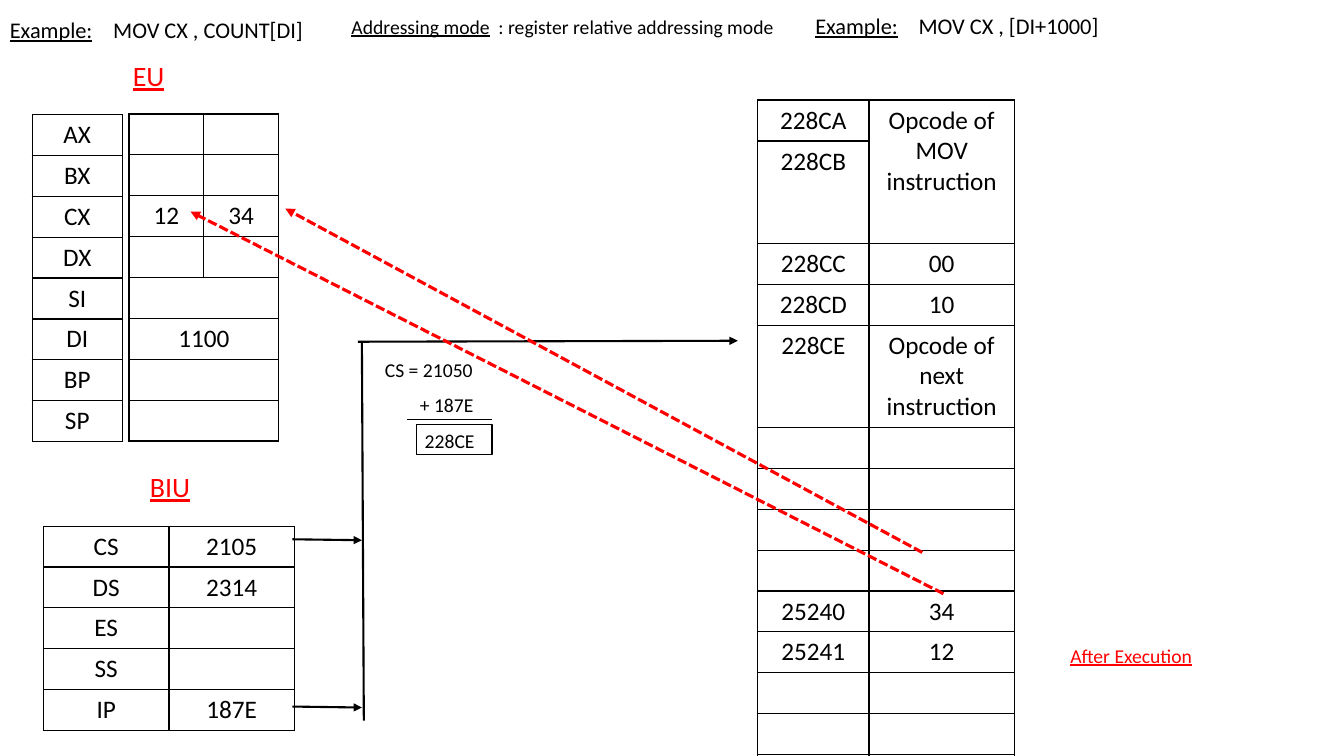
from dataclasses import dataclass, field
from typing import Any, Optional

import pptx
import pptx.dml.color
import pptx.enum.shapes
import pptx.enum.text
import pptx.oxml
import pptx.oxml.ns
import pptx.util

Pt = pptx.util.Pt
BLACK, RED = "000000", "FF0000"
ROW_HEIGHT = 29.2


@dataclass
class Span:
    text: str
    underline: bool = False


@dataclass
class Line:
    spans: list[Span]
    indent: float = 0
    tab: float = 0


@dataclass
class Label:
    left: float
    top: float
    width: float
    height: float
    size: float
    lines: list[Line]
    color: str = BLACK
    spacing: float = 0.9


@dataclass
class Grid:
    left: float
    top: float
    columns: list[float]
    rows: list[list[str]]
    merges: list[tuple[int, int, int, int]] = field(default_factory=list)


@dataclass
class Stroke:
    start: tuple[float, float]
    end: tuple[float, float]
    width: float = 1.5
    color: str = BLACK
    arrow: bool = True
    dash: Optional[str] = None


def rgb(code: str) -> pptx.dml.color.RGBColor:
    return pptx.dml.color.RGBColor.from_string(code)


def apply(target: Any, values: dict[str, Any]) -> None:
    for name, value in values.items():
        setattr(target, name, value)


def add_xml(parent: Any, body: str) -> None:
    namespace = pptx.oxml.ns.nsdecls("a")
    parent.append(pptx.oxml.parse_xml(f"<a:wrap {namespace}>{body}</a:wrap>")[0])


def style_font(font: Any, size: float, color: str, underline: bool = False) -> None:
    apply(font, {"name": "Calibri", "size": Pt(size), "underline": underline, "bold": False})
    font.color.rgb = rgb(color)


def draw_label(page: Any, label: Label) -> None:
    box = page.shapes.add_textbox(*map(Pt, (label.left, label.top, label.width, label.height)))
    box.text_frame.word_wrap = True
    for index, line in enumerate(label.lines):
        para = box.text_frame.paragraphs[0] if index == 0 else box.text_frame.add_paragraph()
        apply(para, {"line_spacing": label.spacing, "space_before": Pt(10 if index else 0)})
        properties = para._p.get_or_add_pPr()
        if line.indent:
            properties.set("marL", str(Pt(line.indent)))
        if line.tab:
            add_xml(properties, f'<a:tabLst><a:tab pos="{Pt(line.tab)}" algn="l"/></a:tabLst>')
        for span in line.spans:
            run = para.add_run()
            run.text = span.text
            style_font(run.font, label.size, label.color, span.underline)


def draw_grid(page: Any, grid: Grid) -> None:
    count = len(grid.rows)
    frame = page.shapes.add_table(count, len(grid.columns), Pt(grid.left), Pt(grid.top),
                                  Pt(sum(grid.columns)), Pt(ROW_HEIGHT * count))
    table = frame.table
    apply(table, {"first_row": False, "horz_banding": False})
    for column, width in zip(table.columns, grid.columns):
        column.width = Pt(width)
    for row, texts in zip(table.rows, grid.rows):
        row.height = Pt(ROW_HEIGHT)
        for cell, text in zip(row.cells, texts):
            for side in ("lnL", "lnR", "lnT", "lnB"):
                add_xml(cell._tc.get_or_add_tcPr(),
                        f'<a:{side} w="{Pt(1)}"><a:solidFill><a:srgbClr val="{BLACK}"/>'
                        f'</a:solidFill></a:{side}>')
            cell.fill.background()
            if text:
                para = cell.text_frame.paragraphs[0]
                para.alignment = pptx.enum.text.PP_ALIGN.CENTER
                run = para.add_run()
                run.text = text
                style_font(run.font, 18, BLACK)
    for top, left, bottom, right in grid.merges:
        table.cell(top, left).merge(table.cell(bottom, right))


def draw_stroke(page: Any, stroke: Stroke) -> None:
    connector = page.shapes.add_connector(pptx.enum.shapes.MSO_CONNECTOR.STRAIGHT,
                                          *map(Pt, stroke.start + stroke.end))
    connector.line.width = Pt(stroke.width)
    connector.line.color.rgb = rgb(stroke.color)
    properties = connector.element.spPr
    outline = properties.find(pptx.oxml.ns.qn("a:ln"))
    if stroke.dash:
        add_xml(outline, f'<a:prstDash val="{stroke.dash}"/>')
    if stroke.arrow:
        add_xml(outline, '<a:tailEnd type="triangle"/>')
    add_xml(properties, "<a:effectLst/>")


def heading(title: str, rest: str, tab: float) -> list[Line]:
    return [Line([Span(title, True), Span("\t" + rest)], tab=tab)]


def title(text: str) -> list[Line]:
    return [Line([Span(text, True)])]


LABELS = [
    Label(0, 10, 283.7, 31, 16, heading("Example:", "MOV CX , COUNT[DI]", 73.8)),
    Label(244, 11.5, 348.5, 30.2, 14,
          heading("Addressing mode", ": register relative addressing mode", 105), spacing=0.7),
    Label(575.3, 7.2, 283.7, 31, 16, heading("Example:", "MOV CX , [DI+1000]", 73.8)),
    Label(87.8, 41, 40.3, 30.2, 20, title("EU"), RED),
    Label(100, 334.8, 47.5, 29.5, 20, title("BIU"), RED),
    Label(757.4, 458, 188.6, 43.2, 14, title("After Execution"), RED),
    Label(267.8, 254.2, 97.2, 89.3, 14, [
        Line([Span("CS = 21050")]),
        Line([Span("+ 187E")], indent=25),
        Line([Span("228CE")], indent=28.5),
    ]),
]

REGISTERS = ["AX", "BX", "CX", "DX", "SI", "DI", "BP", "SP"]
BLANK = ["", ""]
GRIDS = [
    # Execution unit: values, then register names
    Grid(92.2, 81.4, [53.4, 53.4],
         [BLANK, BLANK, ["12", "34"], BLANK, BLANK, ["1100", ""], BLANK, BLANK],
         [(row, 0, row, 1) for row in range(4, 8)]),
    Grid(23, 81.8, [64.4], [[name] for name in REGISTERS]),
    # Bus interface unit
    Grid(31, 375.8, [89.7, 89.7],
         [["CS", "2105"], ["DS", "2314"], ["ES", ""], ["SS", ""], ["IP", "187E"]]),
    # Memory
    Grid(541.2, 71.5, [79.6, 103.7],
         [["228CA", "Opcode of MOV instruction"], ["228CB", ""], ["228CC", "00"],
          ["228CD", "10"], ["228CE", "Opcode of next instruction"], *[BLANK] * 4,
          ["25240", "34"], ["25241", "12"], *[BLANK] * 4],
         [(0, 1, 1, 1)]),
]

STROKES = [
    # Address path from CS and IP to memory
    Stroke((208.8, 504.7), (258.5, 505.4)),
    Stroke((208.8, 385.2), (258.5, 385.9)),
    Stroke((255.6, 244.1), (527, 243.4)),
    Stroke((258.5, 244.1), (259.9, 514.8), arrow=False),
    # Memory bytes loaded into CX
    Stroke((658.8, 394.6), (203.8, 149), 2.25, RED, dash="sysDash"),
    Stroke((673.9, 424.1), (136.1, 151.2), 2.25, RED, dash="sysDash"),
    # Sum line
    Stroke((290.9, 299.5), (351.4, 299.5), 0.5, arrow=False),
]


def main() -> None:
    deck = pptx.Presentation()
    apply(deck, {"slide_width": Pt(960), "slide_height": Pt(540)})
    page = deck.slides.add_slide(deck.slide_layouts[6])
    for grid in GRIDS:
        draw_grid(page, grid)
    for label in LABELS:
        draw_label(page, label)
    for stroke in STROKES:
        draw_stroke(page, stroke)

    # Frame around the computed address
    frame = page.shapes.add_shape(pptx.enum.shapes.MSO_SHAPE.RECTANGLE,
                                  Pt(297.4), Pt(303.1), Pt(54), Pt(21.6))
    frame.shadow.inherit = False
    frame.fill.background()
    frame.line.width = Pt(1)
    frame.line.color.rgb = rgb(BLACK)
    deck.save("out.pptx")


if __name__ == "__main__":
    main()
